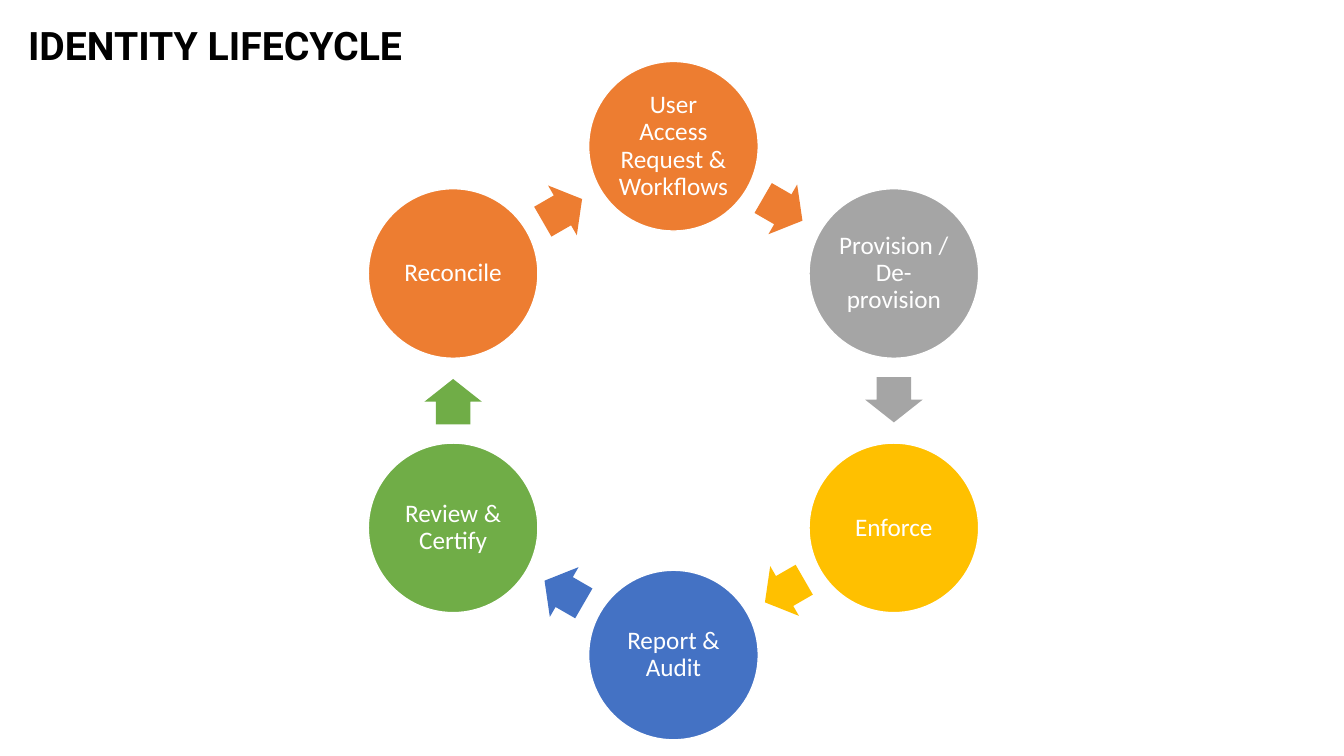
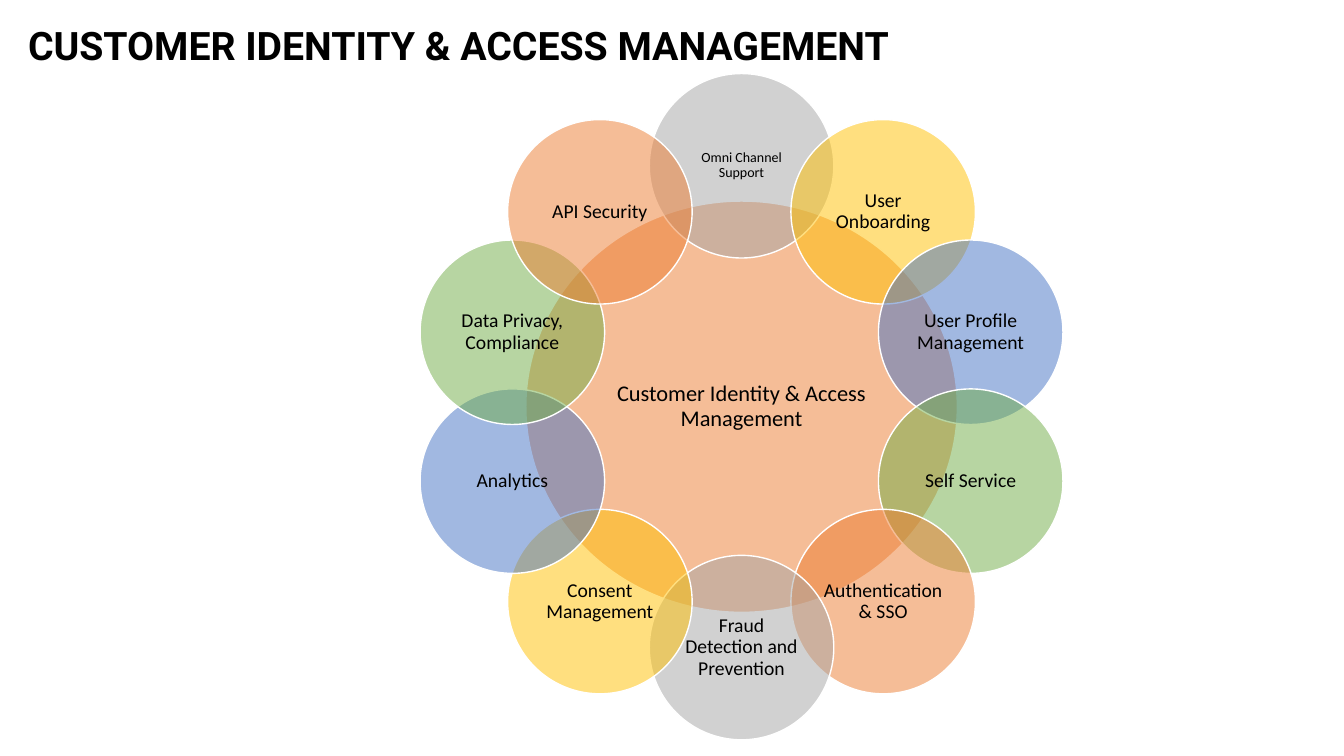
import math

import pptx
import pptx.chart.data
import pptx.dml.color
import pptx.enum.shapes
import pptx.enum.text
import pptx.oxml
import pptx.oxml.ns
import pptx.util
from lxml import etree

CELL = 0.1  # grid cell in inches; every length below counts cells
WIDE, HIGH = 133.3, 75
HUES = {
    "white": "FFFFFF", "black": "000000", "orange": "ED7D31", "gray": "A5A5A5",
    "gold": "FFC000", "blue": "4472C4", "green": "70AD47",
}
KIND = pptx.enum.shapes.MSO_SHAPE
TITLE = {"name": "Roboto", "size": pptx.util.Pt(28), "bold": True}


def grid(cells):
    return pptx.util.Inches(cells * CELL)


def rgb(hue):
    return pptx.dml.color.RGBColor.from_string(HUES[hue])


def style(item, values):
    for key, value in values.items():
        setattr(item, key, value)


def write(shape, text, hue, font, frame, para):
    style(shape.text_frame, {"word_wrap": True, **frame})
    line = shape.text_frame.paragraphs[0]
    style(line, para)
    run = line.add_run()
    run.text = text
    style(run.font, font)
    run.font.color.rgb = rgb(hue)


def place(slide, kind, mid, size, hue, alpha=100):
    """Add a filled shape centred on mid."""
    left, top = (m - s / 2 for m, s in zip(mid, size))
    shape = slide.shapes.add_shape(kind, *map(grid, (left, top, *size)))
    shape.shadow.inherit = False
    shape.fill.solid()
    shape.fill.fore_color.rgb = rgb(hue)
    if alpha < 100:
        tint = shape.fill._xPr.find(".//" + pptx.oxml.ns.qn("a:srgbClr"))
        etree.SubElement(tint, pptx.oxml.ns.qn("a:alpha"), val=str(alpha * 1000))
    shape.line.fill.background()
    return shape


def disc(slide, mid, size, text, fill, ink, points, inset, alpha=100):
    shape = place(slide, KIND.OVAL, mid, size, fill, alpha)
    shape.line.color.rgb = rgb("white")
    shape.line.width = pptx.util.Pt(1)
    pads = {"margin_" + side: grid(inset) for side in ("left", "top", "right", "bottom")}
    pads["vertical_anchor"] = pptx.enum.text.MSO_ANCHOR.MIDDLE
    para = {"alignment": pptx.enum.text.PP_ALIGN.CENTER, "line_spacing": 0.9}
    font = {"name": "Calibri", "size": pptx.util.Pt(points)}
    write(shape, text, ink, font, pads, para)


def polar(mid, reach, angle):
    turn = math.radians(angle)
    return mid[0] + reach * math.cos(turn), mid[1] + reach * math.sin(turn)


def centre(box):
    left, top, side = box
    return left + side / 2, top + side / 2


def start(deck, text):
    """New slide with the shared title."""
    slide = deck.slides.add_slide(deck.slide_layouts[6])
    title = slide.shapes.add_textbox(*map(grid, (1.8, 1.6, 110, 5.7)))
    fit = {"auto_size": pptx.enum.text.MSO_AUTO_SIZE.SHAPE_TO_FIT_TEXT}
    write(title, text, "black", TITLE, fit, {})
    return slide


def cycle(slide, box, steps):
    """Ring of discs with an arrow from each to the next."""
    mid, size = centre(box), box[2] / 4
    reach, gap = (box[2] - size) / 2, 360 / len(steps)
    for i, (text, hue) in enumerate(steps):
        angle = i * gap - 90
        disc(slide, polar(mid, reach, angle), (size, size), text, hue, "white", 18, 0.3)
        half = angle + gap / 2
        spot = polar(mid, reach * math.cos(math.radians(gap / 2)), half)
        spot = polar(spot, -0.1, half + 90)  # sits slightly behind the midpoint
        arrow = place(slide, KIND.RIGHT_ARROW, spot, (4.5, 5.7), hue)
        arrow.adjustments[0], arrow.adjustments[1] = 0.6, 0.5
        arrow.rotation = (half + 90) % 360


def wheel(slide, box, hub, parts):
    """Translucent hub ringed by overlapping discs."""
    mid, size = centre(box), 18.3
    reach, gap = (box[2] - size) / 2, 360 / len(parts)
    disc(slide, mid, (42.8, 40.8), hub, "orange", "black", 16, 0.2, 50)
    for i, (text, hue, points) in enumerate(parts):
        spot = polar(mid, reach, i * gap - 90)
        disc(slide, spot, (size, size), text, hue, "black", points, 0.2, 50)


def main():
    deck = pptx.Presentation()
    deck.slide_width, deck.slide_height = grid(WIDE), grid(HIGH)

    # Lifecycle
    cycle(start(deck, "IDENTITY LIFECYCLE"), (33.15, 6.1, 67.3), [
        ("User Access Request & Workflows", "orange"),
        ("Provision / De-provision", "gray"),
        ("Enforce", "gold"),
        ("Report & Audit", "blue"),
        ("Review & Certify", "green"),
        ("Reconcile", "orange"),
    ])

    # Customer identity
    slide = start(deck, "CUSTOMER IDENTITY & ACCESS MANAGEMENT")
    wheel(slide, (40.5, 7.3, 66.1), "Customer Identity & Access Management", [
        ("Omni Channel Support", "gray", 10),
        ("User Onboarding", "gold", 14),
        ("User Profile Management", "blue", 14),
        ("Self Service", "green", 14),
        ("Authentication & SSO", "orange", 14),
        ("Fraud Detection and Prevention", "gray", 14),
        ("Consent Management", "gold", 14),
        ("Analytics", "blue", 14),
        ("Data Privacy, Compliance", "green", 14),
        ("API Security", "orange", 14),
    ])
    deck.save("out.pptx")


if __name__ == "__main__":
    main()
